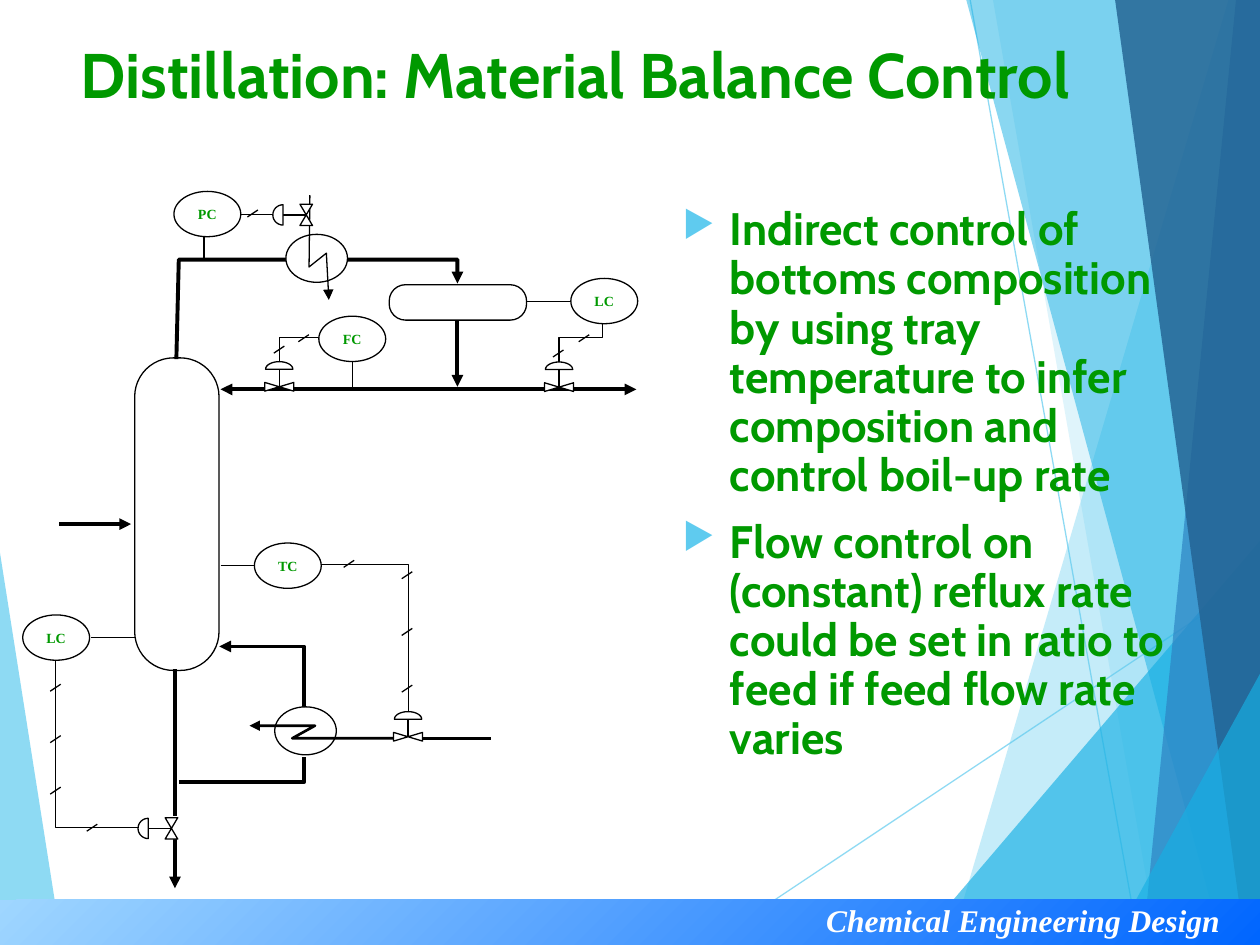
import math
from collections import namedtuple

import pptx
import pptx.dml.color
import pptx.enum.shapes
import pptx.enum.text
import pptx.oxml
import pptx.oxml.ns
import pptx.util

Pt = pptx.util.Pt
qn = pptx.oxml.ns.qn
SHAPES = pptx.enum.shapes.MSO_SHAPE
Box = namedtuple("Box", "left top width height")
GREEN, BLACK, WHITE, SKY, AZURE = "009900", "000000", "FFFFFF", "5FCBEF", "17B0E4"
THIN, MEDIUM, THICK = 0.75, 1.5, 2.25


def color(value):
    return pptx.dml.color.RGBColor.from_string(value)


def add_child(parent, tag, **attributes):
    child = pptx.oxml.parse_xml(f'<a:{tag} {pptx.oxml.ns.nsdecls("a")}/>')
    for name, value in attributes.items():
        child.set(name, str(value))
    parent.append(child)


def set_opacity(shape, percent):
    for element in shape.element.spPr.iter(qn("a:srgbClr")):
        add_child(element, "alpha", val=percent * 1000)


def style(shape, fill=None, line=None, width=THIN):
    shape.shadow.inherit = False
    if fill:
        shape.fill.solid()
        shape.fill.fore_color.rgb = color(fill)
    else:
        shape.fill.background()
    if line:
        shape.line.color.rgb = color(line)
        shape.line.width = Pt(width)
    else:
        shape.line.fill.background()


def add_outline(slide, box, points, close):
    corners = [(Pt(box.left + x), Pt(box.top + y)) for x, y in points]
    builder = slide.shapes.build_freeform(*corners[0])
    builder.add_line_segments(corners[1:], close=close)
    return builder.convert_to_shape()


def add_preset(slide, box, kind, left, top, width, height):
    return slide.shapes.add_shape(
        kind, Pt(box.left + left), Pt(box.top + top), Pt(width), Pt(height))


def add_path(slide, box, points, width=THIN, arrow=False, line=BLACK):
    if len(points) == 2:
        ends = [Pt(offset + value) for point in points
                for offset, value in zip((box.left, box.top), point)]
        shape = slide.shapes.add_connector(pptx.enum.shapes.MSO_CONNECTOR.STRAIGHT, *ends)
        shape.line.color.rgb = color(line)
        shape.line.width = Pt(width)
        add_child(shape.element.spPr, "effectLst")
    else:
        shape = add_outline(slide, box, points, False)
        style(shape, line=line, width=width)
    if arrow:
        add_child(shape.element.spPr.find(qn("a:ln")), "tailEnd", type="triangle")
    return shape


def add_run(paragraph, text, font, size, fill, italic=False):
    run = paragraph.add_run()
    run.text = text
    run.font.name = font
    run.font.size = Pt(size)
    run.font.bold = True
    run.font.italic = italic
    run.font.color.rgb = color(fill)


def add_text_frame(slide, box):
    frame = slide.shapes.add_textbox(*map(Pt, box)).text_frame
    frame.word_wrap = True
    return frame


def add_backdrop(slide, box):
    right, bottom = box.width, box.height

    def facet(points, fill, opacity):
        shape = add_outline(slide, box, points, True)
        style(shape, fill)
        set_opacity(shape, opacity)

    def band(top_x, bottom_x, fill, opacity):
        facet([(top_x, 0), (bottom_x, bottom), (right, bottom), (right, 0)], fill, opacity)

    def wedge(bottom_x, side_y, fill, opacity):
        facet([(bottom_x, bottom), (right, side_y), (right, bottom)], fill, opacity)

    facet([(0, 316), (35.3, bottom), (0, bottom)], SKY, 70)
    for points in ([(404, bottom), (right, 329.5)], [(554.4, 0), (651, bottom)]):
        set_opacity(add_path(slide, box, points, line=SKY), 70)
    band(702, 543, SKY, 36)
    band(567.4, 661.7, SKY, 20)
    wedge(522.7, 309, AZURE, 66)
    band(552.2, 698.4, AZURE, 50)
    band(706.3, 653, "2E83C3", 70)
    band(637.2, 711.4, "236292", 82)
    wedge(635, 385, AZURE, 66)


def add_footer(slide, box):
    bar = add_preset(slide, box, SHAPES.RECTANGLE, 0, 0, box.width, box.height)
    style(bar)
    bar.fill.gradient()
    bar.fill.gradient_angle = 315
    for stop, value in zip(bar.fill.gradient_stops, ("9FD6FF", "0066FF")):
        stop.color.rgb = color(value)
    frame = add_text_frame(slide, Box(box.left + 465, box.top - 2.5, 250, 28.5))
    add_run(frame.paragraphs[0], "Chemical Engineering Design", "Times New Roman", 18, WHITE, True)


def add_title(slide, box):
    frame = add_text_frame(slide, box)
    add_run(frame.paragraphs[0], "Distillation: Material Balance Control", "Cabin", 36, GREEN)


def add_bullets(slide, box, items):
    frame = add_text_frame(slide, box)
    for index, item in enumerate(items):
        paragraph = frame.add_paragraph() if index else frame.paragraphs[0]
        properties = paragraph._p.get_or_add_pPr()
        properties.set("marL", str(Pt(27)))
        properties.set("indent", str(Pt(-27)))
        add_child(properties, "buClr")
        add_child(properties[-1], "srgbClr", val=SKY)
        add_child(properties, "buSzPct", val=80000)
        add_child(properties, "buChar", char="▶")
        paragraph.line_spacing = 0.9
        paragraph.space_before = Pt(10 if index else 0)
        add_run(paragraph, item, "Cabin", 26, GREEN)


def add_valve(slide, box, x, y, upright):
    reach, half, depth = (10, 7.8, 4.3) if upright else (13.3, 5.8, 5.8)
    width, height = (5, 16.6) if upright else (7.2, 12.2)
    body = add_preset(slide, box, SHAPES.FLOWCHART_COLLATE,
                      x - width / 2, y - height / 2, width, height)
    body.rotation = 270 if upright else 0
    style(body, WHITE, BLACK)
    angles = [math.pi * step / 16 for step in range(17)]
    arc = [(half * math.cos(angle), reach + depth * math.sin(angle)) for angle in angles]
    if upright:
        dome, stem = [(x + across, y - out) for across, out in arc], (x, y - reach)
    else:
        dome, stem = [(x - out, y + across) for across, out in arc], (x - reach, y)
    add_path(slide, box, [(x, y), stem])
    style(add_outline(slide, box, dome, True), WHITE, BLACK)


def add_controller(slide, box, label, left, top):
    bubble = add_preset(slide, box, SHAPES.OVAL, left, top, 38.2, 25.9)
    style(bubble, WHITE, BLACK)
    frame = bubble.text_frame
    frame.word_wrap = False
    frame.vertical_anchor = pptx.enum.text.MSO_ANCHOR.MIDDLE
    frame.paragraphs[0].alignment = pptx.enum.text.PP_ALIGN.CENTER
    add_run(frame.paragraphs[0], label, "Times New Roman", 8, GREEN)


def add_flowsheet(slide, box):
    def vessel(kind, left, top, width, height):
        shape = add_preset(slide, box, kind, left, top, width, height)
        style(shape, WHITE, BLACK)
        if kind == SHAPES.ROUNDED_RECTANGLE:
            shape.adjustments[0] = 0.46

    vessel(SHAPES.ROUNDED_RECTANGLE, 67, 104.5, 48.2, 178.6)
    vessel(SHAPES.ROUNDED_RECTANGLE, 212.4, 62.7, 78.5, 20.2)
    pipes = [
        ([(90, 282.5), (90, 366.5)], THICK, False),
        ([(90, 379), (90, 407.6)], THICK, True),
        ([(163.7, 303.9), (163.7, 269.4), (115.3, 269.4)], THICK, True),
        ([(90.8, 105.2), (92.2, 48.3), (251.4, 48.3), (251.4, 62)], THICK, True),
        ([(157, 122.5), (116, 122.5)], THICK, True),
        ([(146.2, 122.5), (353.6, 122.5)], THICK, True),
        ([(251.4, 82.9), (251.4, 121)], THICK, True),
        ([(23.8, 199.5), (64.9, 199.5)], THICK, True),
        ([(92.2, 347.1), (163.7, 347.1), (163.7, 332.7)], THICK, False),
        ([(231.9, 321.9), (270.8, 321.9)], MEDIUM, False),
    ]
    coils = [
        ([(167.1, 11.6), (166.6, 52.6), (176.5, 44.7), (177.9, 71.4)], THIN, True),
        ([(214.6, 321.9), (157, 321.9), (170, 314.7), (132.6, 314.7)], MEDIUM, True),
    ]
    signals = [
        [(41.8, 264.3), (67, 264.3)],
        [(21.7, 277.3), (21.7, 373), (70.6, 373)],
        [(291, 72.1), (316.2, 72.1)],
        [(334.2, 85), (334.2, 93), (309.5, 93), (309.5, 107.4)],
        [(106.6, 47.6), (106.6, 34.6)],
        [(127.5, 22.4), (146.2, 22.4)],
        [(116, 223.3), (135.4, 223.3)],
        [(172.9, 222.6), (223.3, 222.6), (223.3, 306.8)],
        [(172.2, 93), (149.6, 93), (149.6, 106.6)],
    ]
    ticks = [(42.6, 373), (323.7, 93.3), (309, 102), (134.4, 22),
             (189.4, 222.2), (149.5, 99.8), (163.5, 93.3)]
    ticks += [(21.7, 293 + 29.4 * step) for step in range(3)]
    ticks += [(222.6, 228.7 + 32.4 * step) for step in range(3)]

    for pipe in pipes:
        add_path(slide, box, *pipe)
    for left, top in ((153.4, 33.9), (147, 303.9)):
        vessel(SHAPES.OVAL, left, top, 35.2, 27.4)
    for coil in coils:
        add_path(slide, box, *coil)
    for signal in signals:
        add_path(slide, box, signal)
    add_path(slide, box, [(191.6, 121.8), (191.6, 106)], 0.5)
    for x, y in ticks:
        add_path(slide, box, [(x + 3, y - 2), (x - 3, y + 2)])
    for x, y, upright in ((223.2, 321, True), (309.5, 121.2, True), (149.6, 121, True),
                          (88, 373.4, False), (165, 22.8, False)):
        add_valve(slide, box, x, y, upright)
    for label, left, top in (("LC", 3, 251.4), ("LC", 316.2, 59.1), ("PC", 89.4, 9.4),
                             ("TC", 135.4, 210.3), ("FC", 172.2, 80.7)):
        add_controller(slide, box, label, left, top)


def main():
    presentation = pptx.Presentation()
    presentation.slide_width, presentation.slide_height = Pt(720), Pt(540)
    slide = presentation.slides.add_slide(presentation.slide_layouts[6])
    add_backdrop(slide, Box(0, 0, 720, 540))
    add_footer(slide, Box(0, 514, 720, 26))
    add_title(slide, Box(39, 16.5, 648, 90))
    add_bullets(slide, Box(383, 114.5, 311, 356), [
        "Indirect control of bottoms composition by using tray temperature "
        "to infer composition and control boil-up rate",
        "Flow control on (constant) reflux rate could be set in ratio to feed "
        "if feed flow rate varies",
    ])
    add_flowsheet(slide, Box(10, 100, 360, 410))
    presentation.save("out.pptx")


if __name__ == "__main__":
    main()
